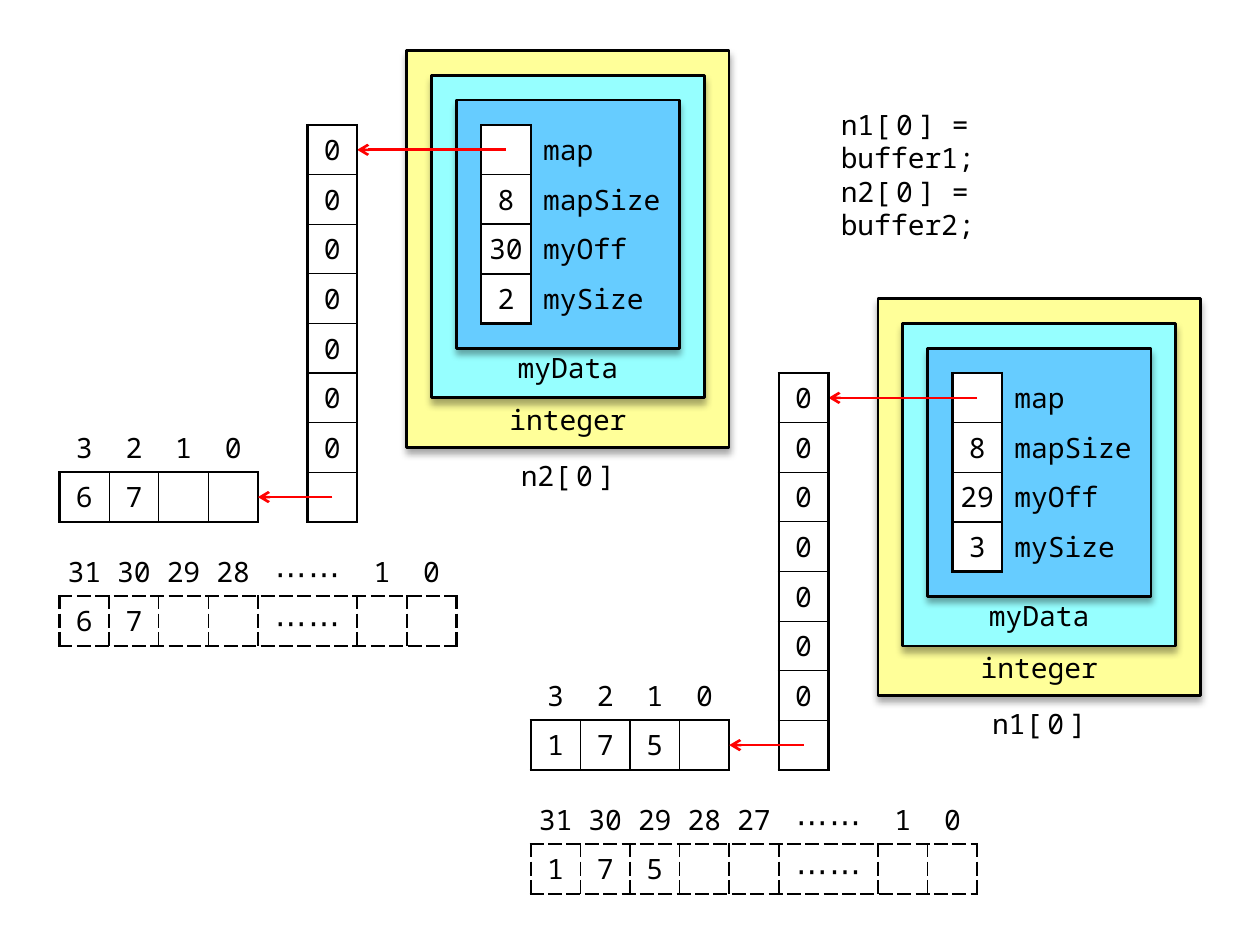
from lxml import etree
from pptx import Presentation
from pptx import util as u
from pptx.dml.color import RGBColor
from pptx.enum import shapes, text
from pptx.oxml import ns

BLACK = RGBColor(0, 0, 0)
WHITE = RGBColor(255, 255, 255)
RED = RGBColor(255, 0, 0)
YELLOW = RGBColor(0xFF, 0xFF, 0x99)
CYAN = RGBColor(0x96, 0xFF, 0xFF)
BLUE = RGBColor(0x66, 0xCC, 0xFF)
FONT = "Noto Sans Mono"
PLAIN = "{2D5ABB26-0587-4C30-8999-92F81FD0307C}"  # no style, no grid
MID, LEFT = text.PP_ALIGN.CENTER, text.PP_ALIGN.LEFT
TOP, LOW = text.MSO_ANCHOR.TOP, text.MSO_ANCHOR.BOTTOM

# A text is a list of (words, letter gap in points) pieces.
DOTS = [("⋯", 1), ("⋯", 0)]
FIELDS = ["map", "mapSize", "myOff", "mySize"]


def item(name, tail=""):
    return [(name, 0), ("[0", 3), ("]" + tail, 0)]


CODE = [item("n1", " = buffer1;"), item("n2", " = buffer2;")]

# Lengths are in cm; every small cell is 1 cm square.
DEQUES = [
    {"name": "n1", "at": (17.7, 6.02), "vals": ["", "8", "29", "3"],
     "block": ["1", "7", "5", ""],
     "index": ["31", "30", "29", "28", "27", DOTS, "1", "0"],
     "whole": ["1", "7", "5", "", "", DOTS, "", ""]},
    {"name": "n2", "at": (8.2, 1.02), "vals": ["", "8", "30", "2"],
     "block": ["6", "7", "", ""],
     "index": ["31", "30", "29", "28", DOTS, "1", "0"],
     "whole": ["6", "7", "", "", DOTS, "", ""]},
]
# inset from the outer box, width, height, colour
BOXES = [(0, 6.5, 8, YELLOW), (0.5, 5.5, 6.5, CYAN), (1, 4.5, 5, BLUE)]


def sub(parent, tag, **attrs):
    return etree.SubElement(parent, ns.qn("a:" + tag), attrs)


def write(par, words, align):
    par.alignment = align
    if not words:
        return
    for part, gap in [(words, 0)] if isinstance(words, str) else words:
        run = par.add_run()
        run.text = part
        look = {"name": FONT, "size": u.Pt(18 if words is DOTS else 16)}
        for key, val in look.items():
            setattr(run.font, key, val)
        run.font.color.rgb = BLACK
        if gap:
            run.font._element.set("spc", str(gap * 100))


def label(slide, rect, lines, align=MID, anchor=TOP, pads=(0.2, 0.1, 0.2, 0)):
    frame = slide.shapes.add_textbox(*map(u.Cm, rect)).text_frame
    form = {"word_wrap": True, "vertical_anchor": anchor}
    sides = ("margin_left", "margin_top", "margin_right", "margin_bottom")
    form.update(zip(sides, map(u.Cm, pads)))
    for key, val in form.items():
        setattr(frame, key, val)
    for num, words in enumerate(lines):
        par = frame.add_paragraph() if num else frame.paragraphs[0]
        write(par, words, align)


def box(slide, rect, fill):
    shape = slide.shapes.add_shape(
        shapes.MSO_SHAPE.FLOWCHART_PROCESS, *map(u.Cm, rect))
    shape.shadow.inherit = False
    shape.fill.solid()
    shape.fill.fore_color.rgb = fill
    shape.line.color.rgb = BLACK
    shape.line.width = u.Pt(1.5)
    cast = sub(shape._element.spPr.find(ns.qn("a:effectLst")), "outerShdw",
               blurRad=str(u.Pt(4)), dist=str(u.Pt(3)), dir="5400000",
               rotWithShape="0")
    sub(sub(cast, "srgbClr", val=str(BLACK)), "alpha", val="35000")


def arrow(slide, start, end, y):
    line = slide.shapes.add_connector(
        shapes.MSO_CONNECTOR.STRAIGHT, *map(u.Cm, (start, y, end, y)))
    line.line.color.rgb = RED
    line.line.width = u.Pt(1.5)
    sub(line.line._get_or_add_ln(), "tailEnd", type="arrow")
    sub(line._element.spPr, "effectLst")


def edge(cell, side, width, dash):
    line = sub(cell._tc.get_or_add_tcPr(), "ln" + side, w=str(u.Pt(width)))
    sub(sub(line, "solidFill"), "srgbClr", val=str(BLACK))
    sub(line, "prstDash", val=dash)


def grid(slide, x, y, rows, area, inner, dash="solid", widths=None, pad=0.1):
    """Draw a table; area (top, bottom, left, right) is the ruled part."""
    top, low, left, right = area
    widths = widths or [2 if words is DOTS else 1 for words in rows[0]]
    frame = slide.shapes.add_table(
        len(rows), len(widths),
        *map(u.Cm, (x, y, sum(widths), len(rows))))
    table = frame.table
    table.first_row = table.horz_banding = False
    table._tbl.tblPr.find(ns.qn("a:tableStyleId")).text = PLAIN
    for col, width in zip(table.columns, widths):
        col.width = u.Cm(width)
    for r, row in enumerate(rows):
        table.rows[r].height = u.Cm(1)
        for c, words in enumerate(row):
            cell = table.cell(r, c)
            ruled = top <= r <= low and left <= c <= right
            wide = widths[c] == 3
            side = u.Cm(0.25 if wide else pad)
            form = {"margin_left": side, "margin_right": side,
                    "margin_top": u.Cm(0.1), "margin_bottom": u.Cm(0.1),
                    "vertical_anchor": text.MSO_ANCHOR.MIDDLE}
            for key, val in form.items():
                setattr(cell, key, val)
            write(cell.text_frame.paragraphs[0], words, LEFT if wide else MID)
            if not ruled:
                cell.fill.background()
                continue
            outer = {"L": c == left, "R": c == right,
                     "T": r == top, "B": r == low}
            for name, out in outer.items():
                edge(cell, name, 1.5 if out else inner, dash)
            cell.fill.solid()
            cell.fill.fore_color.rgb = WHITE


def deque(slide, data):
    x, y = data["at"]
    for inset, width, height, fill in BOXES:
        box(slide, (x + inset, y + inset, width, height), fill)
    label(slide, (x + 1.5, y + 7, 3.5, 1), ["integer"])
    label(slide, (x + 2, y + 8, 2.5, 1), [item(data["name"])],
          anchor=LOW, pads=(0.2, 0.13, 0.2, 0.1))
    label(slide, (x + 2, y + 6, 2.5, 1), ["myData"], pads=(0.2, 0.05, 0.2, 0))
    grid(slide, x + 1.5, y + 1.5, list(zip(data["vals"], FIELDS)),
         (0, 3, 0, 0), 1, widths=[1, 3], pad=0)
    arrow(slide, x + 2, x - 1, y + 2)
    grid(slide, x - 2, y + 1.5, [["0"]] * 7 + [[""]], (0, 7, 0, 0), 0.75)
    grid(slide, x - 7, y + 7.5, [["3", "2", "1", "0"], data["block"]],
         (1, 1, 0, 3), 0.75)
    arrow(slide, x - 1.5, x - 3, y + 9)
    grid(slide, x - 7, y + 10, [data["index"], data["whole"]],
         (1, 1, 0, len(data["index"]) - 1), 1, "sysDash")


def main():
    deck = Presentation()
    deck.slide_width, deck.slide_height = u.Cm(25.4), u.Cm(19.05)
    slide = deck.slides.add_slide(deck.slide_layouts[6])
    label(slide, (16.7, 2.03, 6, 2), CODE, LEFT, pads=(0.25, 0.13, 0.25, 0.13))
    for data in DEQUES:
        deque(slide, data)
    deck.save("out.pptx")


if __name__ == "__main__":
    main()
